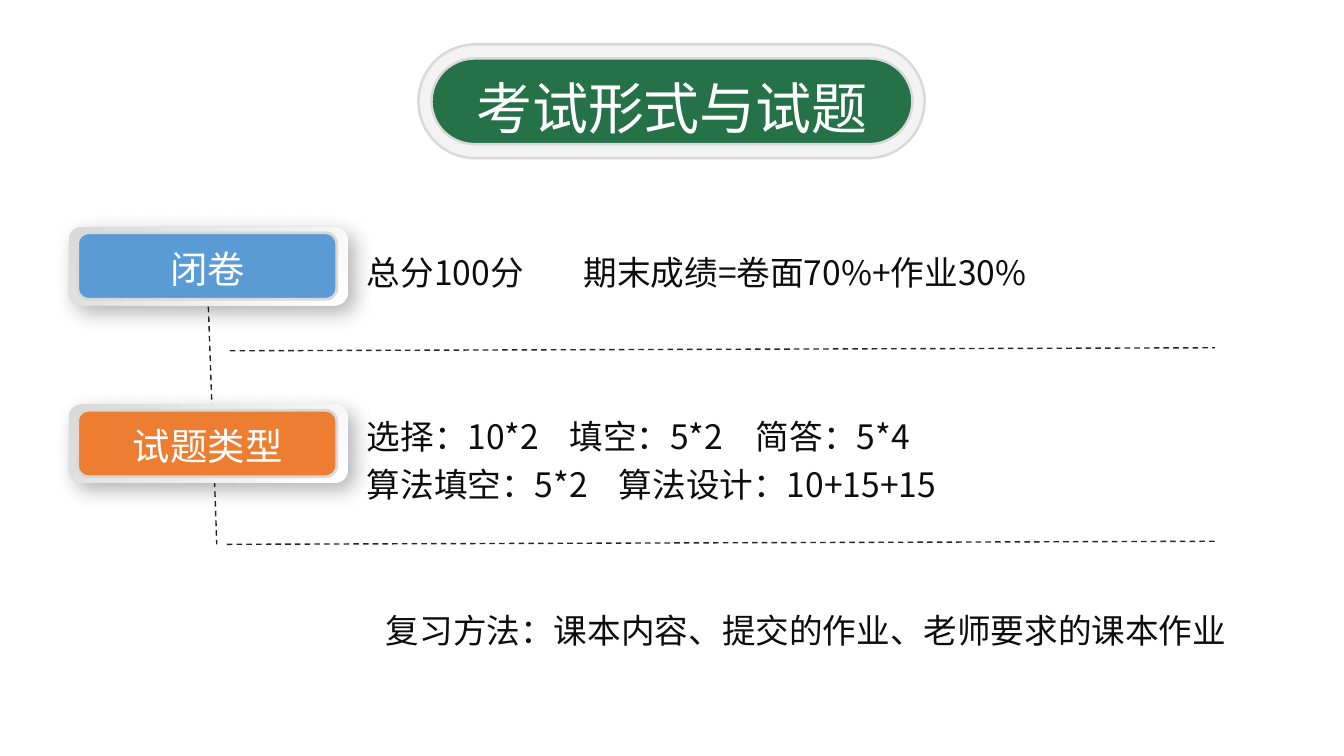
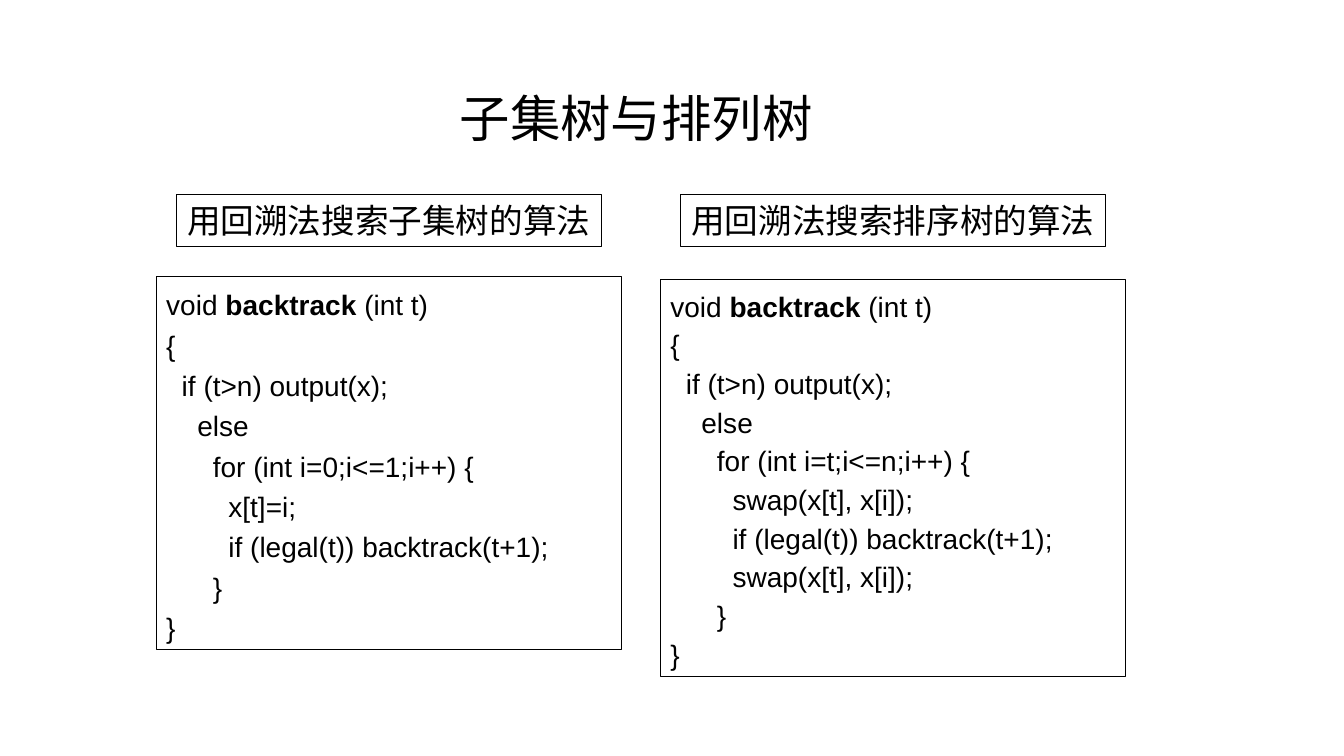
"""Build two course-review slides: exam format and backtracking code."""
from dataclasses import dataclass

from lxml import etree
from pptx import Presentation
from pptx import util as u
from pptx.dml.color import RGBColor
from pptx.enum import dml, shapes, text
from pptx.oxml import ns

SCALE = 9144
KIND = shapes.MSO_SHAPE


@dataclass(frozen=True)
class Theme:
    """Hold the colours, fonts and type sizes."""
    white: str = "FFFFFF"
    black: str = "000000"
    ink: str = "0D0D0D"
    dash: str = "262626"
    rim: str = "D9D9D9"
    pale: str = "F3F3F3"
    green: str = "257249"
    blue: str = "5B9BD5"
    orange: str = "ED7D31"
    sans: str = "Noto Sans CJK SC"
    latin: str = "Arial"
    banner: float = 40
    title: float = 36
    label: float = 26.7
    body: float = 24
    code: float = 20


T = Theme()


def px(n):
    """Turn px into EMU."""
    return u.Emu(n * SCALE)


def rgb(tone):
    """Turn a hex string into a colour."""
    return RGBColor.from_string(tone)


def sub(node, tag, **attrs):
    """Append one child element to an XML node."""
    return etree.SubElement(node, ns.qn(tag), attrs)


def plate(slide, kind, box, fill=None, line=None, width=1, round=None):
    """Draw a flat preset shape."""
    shape = slide.shapes.add_shape(kind, *map(px, box))
    shape.shadow.inherit = False
    if round is not None:
        shape.adjustments[0] = round
    if fill:
        shape.fill.solid()
        shape.fill.fore_color.rgb = rgb(fill)
    else:
        shape.fill.background()
    if line:
        shape.line.color.rgb = rgb(line)
        shape.line.width = u.Pt(width)
    else:
        shape.line.fill.background()
    return shape


def write(shape, rows, size, tone=T.ink, font=T.sans, align="LEFT",
          anchor="TOP", space=None, tabs=(), wrap=True):
    """Fill a shape with rows, each a list of (text, bold) runs."""
    frame = shape.text_frame
    frame.word_wrap = wrap
    frame.auto_size = text.MSO_AUTO_SIZE.NONE
    frame.vertical_anchor = text.MSO_ANCHOR[anchor]
    for i, row in enumerate(rows):
        para = frame.add_paragraph() if i else frame.paragraphs[0]
        para.alignment = text.PP_ALIGN[align]
        if space:
            para.line_spacing = space
        if tabs:
            stops = sub(para._p.get_or_add_pPr(), "a:tabLst")
            for stop in tabs[i]:
                sub(stops, "a:tab", pos=str(px(stop)), algn="l")
        for words, bold in row:
            run = para.add_run()
            run.text = words
            run.font.size = u.Pt(size)
            run.font.bold = bold
            run.font.name = font
            run.font.color.rgb = rgb(tone)
            sub(run._r.get_or_add_rPr(), "a:ea", typeface=T.sans)


def note(slide, box, rows, size, **style):
    """Place a text box of plain rows."""
    area = slide.shapes.add_textbox(*map(px, box))
    write(area, [[(row, False)] for row in rows], size, **style)


def rule(slide, start, end):
    """Draw a dashed line."""
    line = slide.shapes.add_connector(
        shapes.MSO_CONNECTOR.STRAIGHT, *map(px, start + end))
    line.line.color.rgb = rgb(T.dash)
    line.line.width = u.Pt(1)
    line.line.dash_style = dml.MSO_LINE.DASH
    sub(line._element.spPr, "a:effectLst")


def banner(slide, box, words):
    """Draw the double pill with its title."""
    x, y, w, h = box
    plate(slide, KIND.ROUNDED_RECTANGLE, box, T.pale, T.rim, 1.75, 0.5)
    plate(slide, KIND.ROUNDED_RECTANGLE, (x + 13, y + 14, w - 25, h - 28),
          T.green, T.rim, 1.75, 0.5)
    note(slide, (x + 45, y + 24, w - 89, 77), [words], T.banner,
         tone=T.white, align="CENTER")


def card(slide, box, words, tone):
    """Draw a raised label on a shaded base."""
    x, y, w, h = box
    base = plate(slide, KIND.ROUNDED_RECTANGLE, box)
    base.fill.gradient()
    base.fill.gradient_angle = 315
    for stop, shade in zip(base.fill.gradient_stops, (T.rim, T.white)):
        stop.color.rgb = rgb(shade)
    glow = sub(base._element.spPr.find(ns.qn("a:effectLst")), "a:outerShdw",
               blurRad=str(u.Pt(15)), dist=str(u.Pt(7)), dir="2700000",
               algn="tl", rotWithShape="0")
    sub(sub(glow, "a:srgbClr", val=T.black), "a:alpha", val="30000")
    plate(slide, KIND.ROUNDED_RECTANGLE, (x + 9, y + 6, w - 20, h - 12),
          tone, T.rim, 2)
    note(slide, (x + 47, y + 14, w - 95, 55), [words], T.label,
         tone=T.white, align="CENTER")


def listing(slide, box, name, lines, space):
    """Draw a heading frame and the code frame below it."""
    x, y, w, h = box
    head = plate(slide, KIND.RECTANGLE, (x + (w - 421) // 2, 193, 421, 51),
                 line=T.black, width=0.5)
    write(head, [[(name, False)]], T.body, T.black, T.latin, "CENTER",
          wrap=False)
    frame = plate(slide, KIND.RECTANGLE, box, line=T.black, width=0.5)
    start = [("void ", False), ("backtrack", True), (" (int t)", False)]
    rows = [start] + [[(line, False)] for line in lines]
    write(frame, rows, T.code, T.black, T.latin, space=space)


def exam(slide):
    """Lay out the exam format slide."""
    rule(slide, (206, 285), (215, 540))
    rule(slide, (228, 348), (1205, 345))
    rule(slide, (225, 540), (1205, 537))
    cards = (("闭卷", T.blue), ("试题类型", T.orange))
    for i, (words, tone) in enumerate(cards):
        card(slide, (68, 225 + 176 * i, 277, 78), words, tone)
    note(slide, (354, 245, 801, 50), ["总分100分\t期末成绩=卷面70%+作业30%"],
         T.body, anchor="MIDDLE", tabs=[(215,)])
    note(slide, (354, 401, 764, 103),
         ["选择：10*2\t填空：5*2\t简答：5*4", "算法填空：5*2\t算法设计：10+15+15"],
         T.body, anchor="MIDDLE", space=1.2, tabs=[(201, 386), (250,)])
    banner(slide, (415, 44, 502, 113), "考试形式与试题")
    note(slide, (373, 592, 884, 59),
         ["复习方法：课本内容、提交的作业、老师要求的课本作业"],
         T.body, anchor="MIDDLE", space=1.2)


def trees(slide):
    """Lay out the two code listings side by side."""
    note(slide, (206, 72, 850, 88), ["子集树与排列树"], T.title,
         tone=T.black, align="CENTER", anchor="MIDDLE")
    top = ["{", "  if (t>n) output(x);", "    else"]
    call = "        if (legal(t)) backtrack(t+1);"
    swap = "        swap(x[t], x[i]);"
    end = ["      }", "}"]
    listing(slide, (155, 274, 461, 370), "用回溯法搜索子集树的算法",
            top + ["      for (int i=0;i<=1;i++) {", "        x[t]=i;", call]
            + end, 1.2)
    listing(slide, (655, 277, 461, 394), "用回溯法搜索排序树的算法",
            top + ["      for (int i=t;i<=n;i++) {", swap, call, swap]
            + end, 1.15)


def main():
    """Build and save the deck."""
    deck = Presentation()
    deck.slide_width, deck.slide_height = px(1333), px(750)
    for build in (exam, trees):
        build(deck.slides.add_slide(deck.slide_layouts[6]))
    deck.save("out.pptx")


if __name__ == "__main__":
    main()
